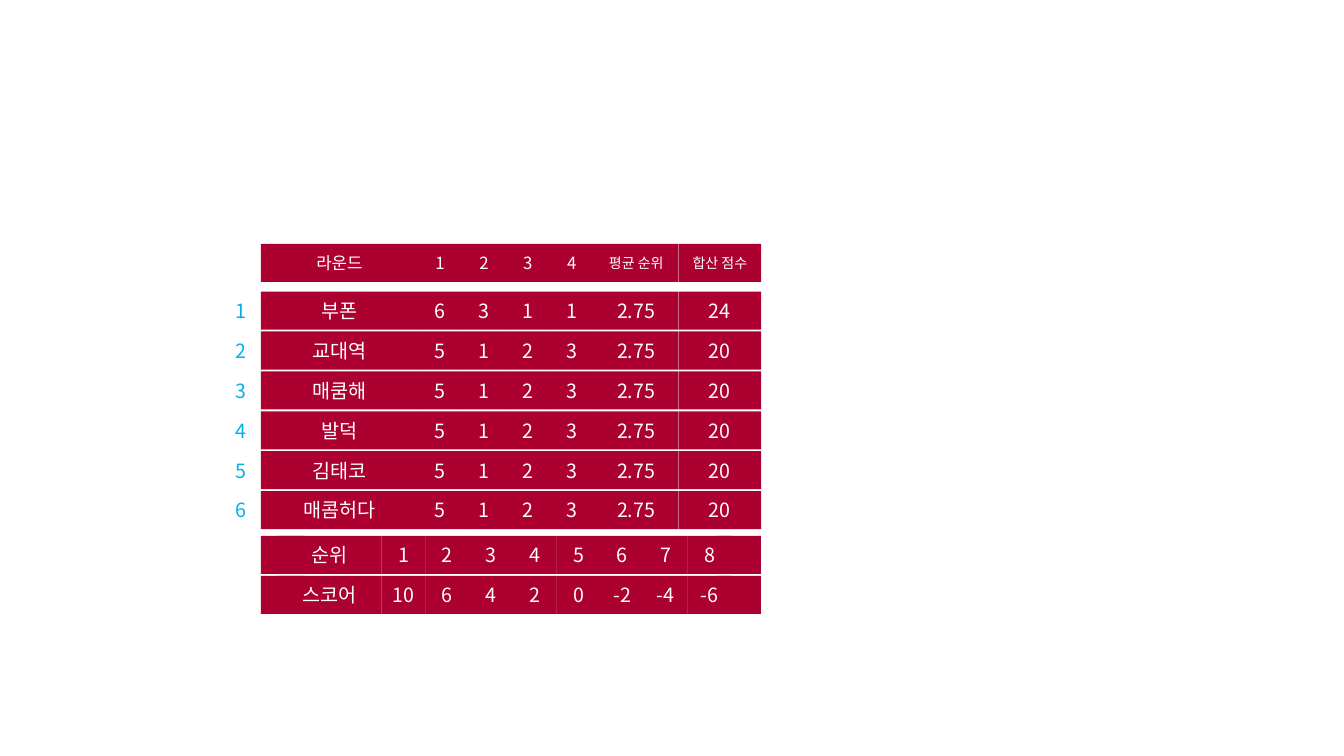
from dataclasses import dataclass
from itertools import accumulate

from lxml.etree import SubElement
from pptx import Presentation
from pptx.dml.color import RGBColor
from pptx.enum.shapes import MSO_SHAPE
from pptx.enum.text import MSO_ANCHOR, PP_ALIGN
from pptx.oxml.ns import qn
from pptx.util import Pt

CRIMSON = RGBColor(0xAC, 0x00, 0x31)
WHITE = RGBColor(0xFF, 0xFF, 0xFF)
SKY = RGBColor(0x00, 0xB0, 0xF0)
FONT = "Noto Sans CJK KR"

LEFT, RIGHT = 186.4, 543.6
ROW_HEIGHT, ROW_STEP = 27.2, 28.5
HEADER_TOP, TEAMS_TOP, SCORES_TOP = 174.2, 208.3, 382.8
NARROW = 31.4
RANK_LEFT, RANK_WIDTH = 158.6, 27.4
TEAM_WIDTHS = [112.2] + [NARROW] * 4 + [60.5, 59]
SCORE_LEFT, SCORE_STEP = 272.7, 31.2
LABEL_LEFT = 198
LABEL_WIDTH = SCORE_LEFT - LABEL_LEFT


@dataclass
class Cell:
    text: str
    left: float
    top: float
    width: float
    size: int = 14
    fill: RGBColor = CRIMSON
    color: RGBColor = WHITE


TEAMS = [
    ("부폰", "6", "3", "1", "1", "2.75", "24"),
    *[(name, "5", "1", "2", "3", "2.75", "20")
      for name in ("교대역", "매쿰해", "발덕", "김태코", "매콤허다")],
]
HEADER = ("라운드", "1", "2", "3", "4", "평균 순위", "합산 점수")
HEADER_SIZES = [12] * 5 + [10] * 2
SCORES = [
    ("순위", "1", "2", "3", "4", "5", "6", "7", "8"),
    ("스코어", "10", "6", "4", "2", "0", "-2", "-4", "-6"),
]


def draw_cell(shapes, cell: Cell) -> None:
    s = shapes.add_shape(MSO_SHAPE.RECTANGLE, Pt(cell.left), Pt(cell.top),
                         Pt(cell.width), Pt(ROW_HEIGHT))
    s.shadow.inherit = False
    s.fill.solid()
    s.fill.fore_color.rgb = cell.fill
    s.line.fill.background()
    if not cell.text:
        return
    tf = s.text_frame
    for name, value in {"word_wrap": True, "vertical_anchor": MSO_ANCHOR.MIDDLE}.items():
        setattr(tf, name, value)
    p = tf.paragraphs[0]
    p.alignment = PP_ALIGN.CENTER
    r = p.add_run()
    r.text = cell.text
    for name, value in {"name": FONT, "size": Pt(cell.size)}.items():
        setattr(r.font, name, value)
    r.font.color.rgb = cell.color
    # Hangul takes the East Asian typeface
    SubElement(r.font._element, qn("a:ea")).set("typeface", FONT)


def team_cells(texts: tuple[str, ...], top: float, sizes: list[int]) -> list[Cell]:
    lefts = accumulate(TEAM_WIDTHS, initial=LEFT)
    return [Cell(text, left, top, width, size)
            for text, left, width, size in zip(texts, lefts, TEAM_WIDTHS, sizes)]


def score_cells(texts: tuple[str, ...], top: float) -> list[Cell]:
    label, *values = texts
    caps = [Cell("", left, top, NARROW) for left in (LEFT, RIGHT - NARROW)]
    return [*caps, Cell(label, LABEL_LEFT, top, LABEL_WIDTH),
            *[Cell(value, SCORE_LEFT + i * SCORE_STEP, top, NARROW)
              for i, value in enumerate(values)]]


def draw_group(shapes, cells: list[Cell]) -> None:
    group = shapes.add_group_shape()
    for cell in cells:
        draw_cell(group.shapes, cell)


def main() -> None:
    prs = Presentation()
    prs.slide_width, prs.slide_height = Pt(960), Pt(540)
    shapes = prs.slides.add_slide(prs.slide_layouts[6]).shapes

    # Round header
    for cell in team_cells(HEADER, HEADER_TOP, HEADER_SIZES):
        draw_cell(shapes, cell)

    # Ranked teams
    for i, team in enumerate(TEAMS):
        top = TEAMS_TOP + i * ROW_STEP
        rank = Cell(str(i + 1), RANK_LEFT, top, RANK_WIDTH, fill=WHITE, color=SKY)
        draw_group(shapes, [rank, *team_cells(team, top, [14] * len(team))])

    # Score for each rank
    draw_group(shapes, [cell for i, row in enumerate(SCORES)
                        for cell in score_cells(row, SCORES_TOP + i * ROW_STEP)])

    prs.save("out.pptx")


if __name__ == "__main__":
    main()
